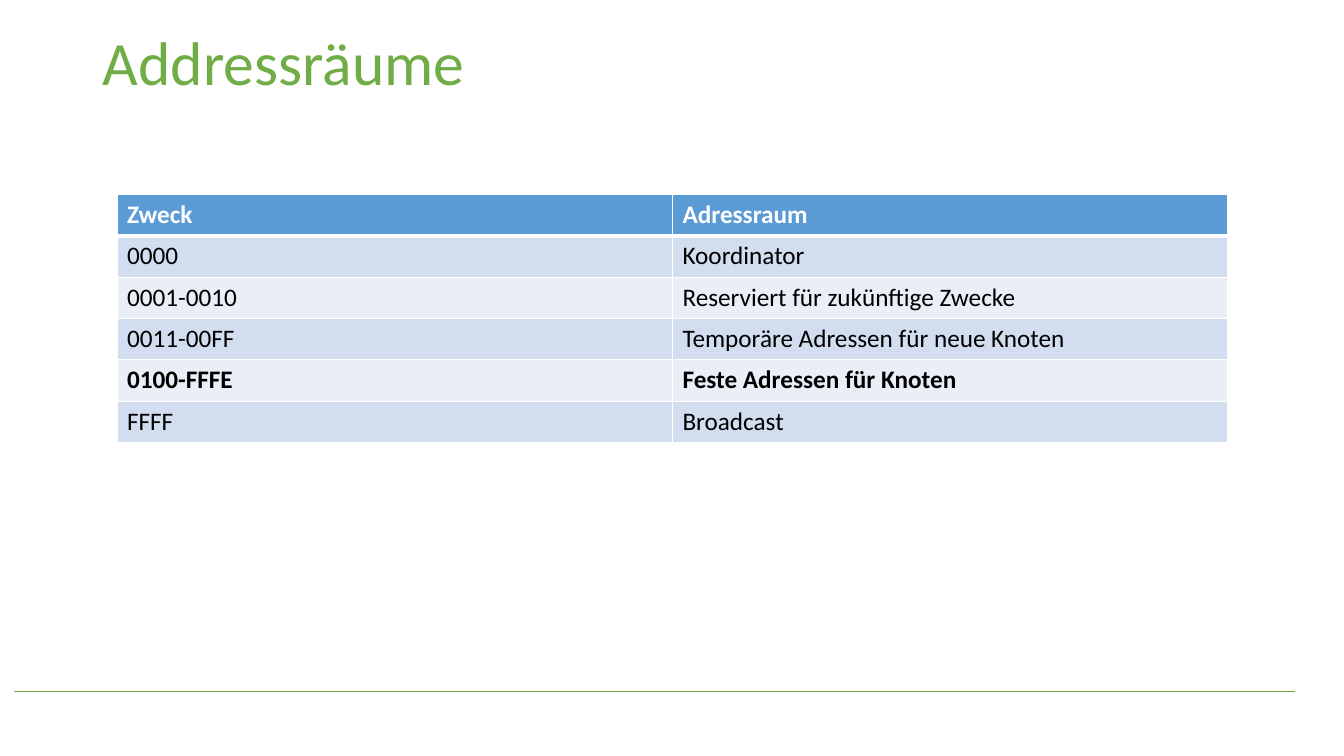
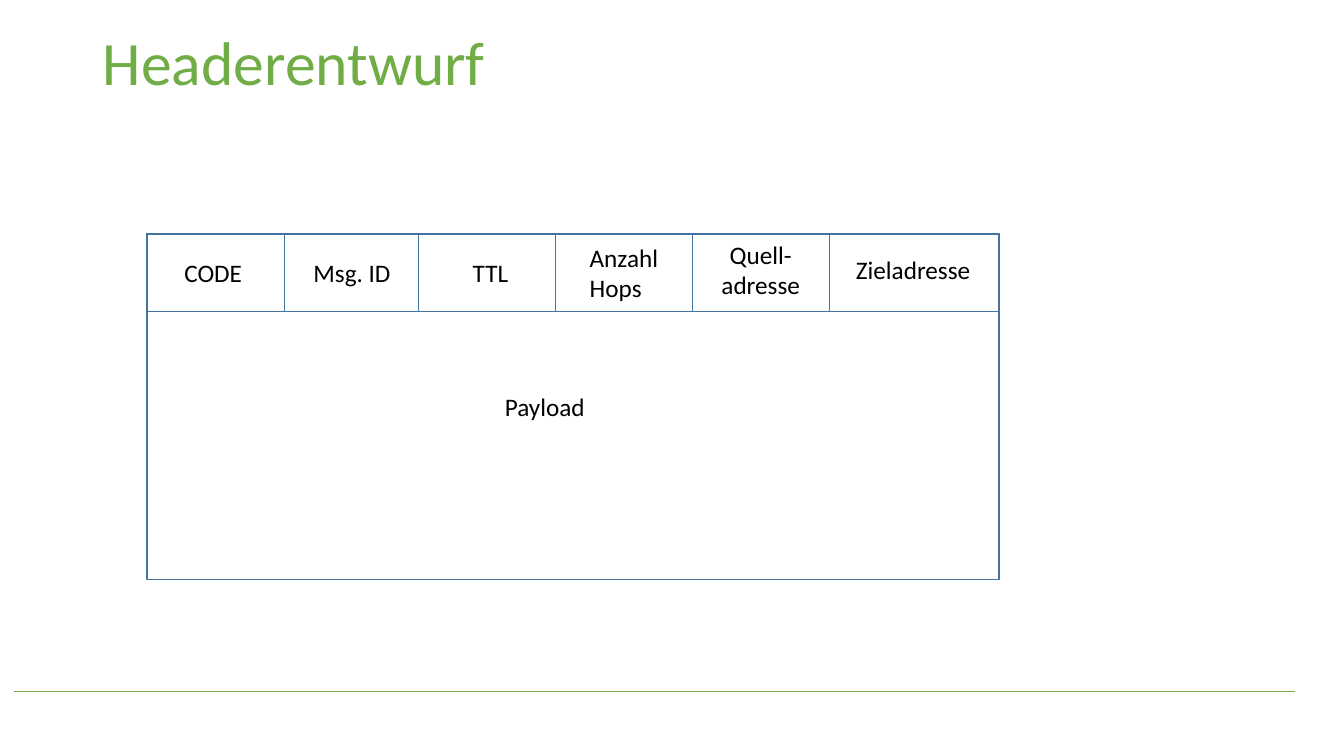
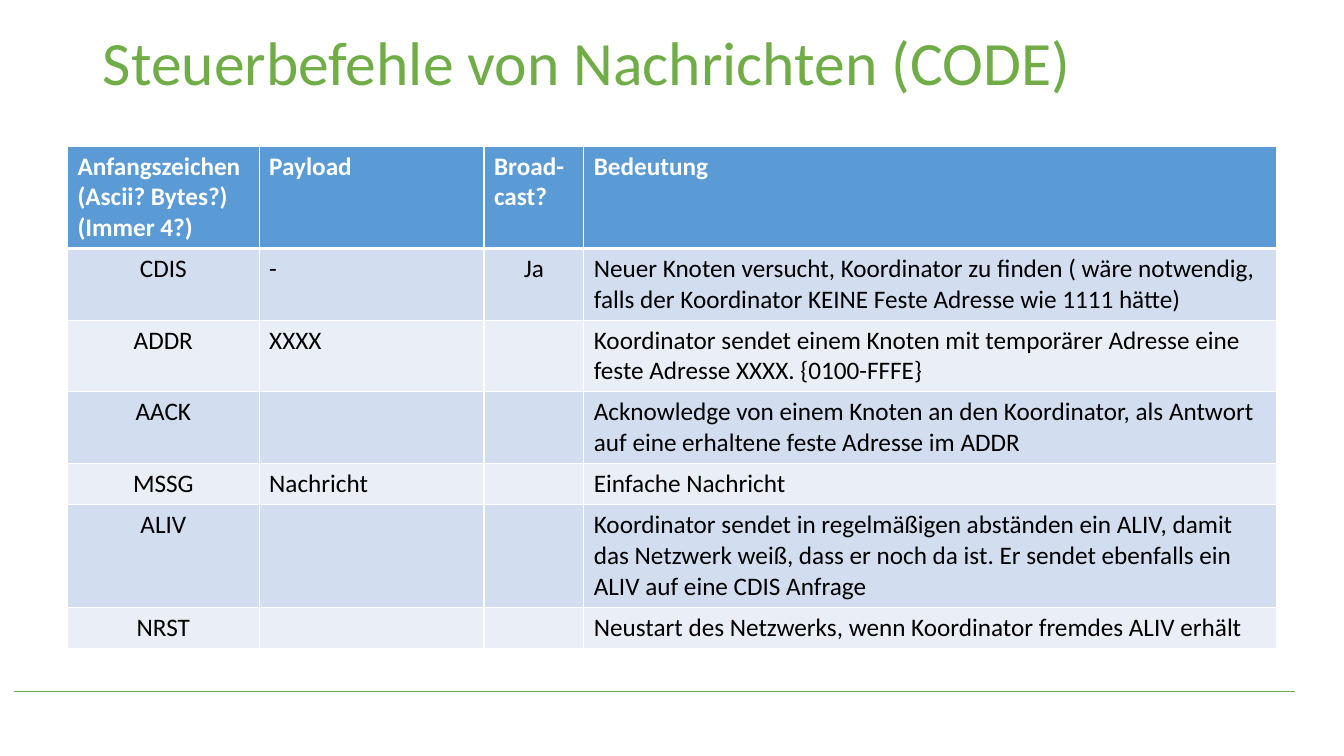
from lxml.etree import SubElement
from pptx import Presentation
from pptx.dml.color import RGBColor
from pptx.enum.shapes import MSO_CONNECTOR, MSO_SHAPE
from pptx.enum.text import MSO_ANCHOR, MSO_AUTO_SIZE, PP_ALIGN
from pptx.oxml import parse_xml
from pptx.oxml.ns import nsdecls, qn
from pptx.util import Inches, Pt

GREEN = RGBColor(0x70, 0xAD, 0x47)
BLUE = RGBColor(0x5B, 0x9B, 0xD5)
NAVY = RGBColor(0x43, 0x73, 0x9E)
BANDS = RGBColor(0xEA, 0xEF, 0xF7), RGBColor(0xD2, 0xDE, 0xEF)
BLACK = RGBColor(0, 0, 0)
WHITE = RGBColor(0xFF, 0xFF, 0xFF)
LEFT, MID = PP_ALIGN.LEFT, PP_ALIGN.CENTER
ROW = 0.41

# In all texts \n starts a paragraph and \v breaks a line.
SPACES = [
    ("Zweck", "Adressraum"),
    ("0000", "Koordinator"),
    ("0001-0010", "Reserviert für zukünftige Zwecke"),
    ("0011-00FF", "Temporäre Adressen für neue Knoten"),
    ("0100-FFFE", "Feste Adressen für Knoten"),
    ("FFFF", "Broadcast"),
]
FIXED = 4  # row of the fixed addresses, in bold

CODES = [
    ("Anfangszeichen (Ascii? Bytes?)\v(Immer 4?)", "Payload",
     "Broad-\vcast?", "Bedeutung"),
    ("CDIS", "-", "Ja",
     "Neuer Knoten versucht, Koordinator zu finden ( wäre notwendig, "
     "falls der Koordinator KEINE Feste Adresse wie 1111 hätte)"),
    ("ADDR", "XXXX", "",
     "Koordinator sendet einem Knoten mit temporärer Adresse eine "
     "feste Adresse XXXX. {0100-FFFE}"),
    ("AACK", "", "",
     "Acknowledge von einem Knoten an den Koordinator, als Antwort "
     "auf eine erhaltene feste Adresse im ADDR"),
    ("MSSG", "Nachricht", "", "Einfache Nachricht"),
    ("ALIV", "", "",
     "Koordinator sendet in regelmäßigen abständen ein ALIV, damit "
     "das Netzwerk weiß, dass er noch da ist. Er sendet ebenfalls ein "
     "ALIV auf eine CDIS Anfrage"),
    ("NRST", "", "",
     "Neustart des Netzwerks, wenn Koordinator fremdes ALIV erhält"),
]

# Field width, label, label box (left, top, width, height), alignment
FIELDS = [
    (1.36, "CODE", (1.73, 2.5, 0.78, 0.4), LEFT),
    (1.33, "Msg. ID", (3.01, 2.5, 0.98, 0.4), LEFT),
    (1.36, "TTL", (4.59, 2.5, 0.56, 0.4), LEFT),
    (1.36, "Anzahl\nHops", (5.75, 2.35, 0.89, 0.71), LEFT),
    (1.36, "Quell-\vadresse", (7.05, 2.32, 0.99, 0.71), MID),
    (1.68, "Zieladresse", (8.39, 2.47, 1.35, 0.4), LEFT),
]
PACKET = (1.46, 2.32, 8.45, 3.43)
HEAD = 0.77


def inches(box):
    return [Inches(n) for n in box]


def write(frame, text, size=18, color=BLACK, bold=False, align=LEFT,
          space=None):
    frame.text = text
    for para in frame.paragraphs:
        para.alignment = align
        para.line_spacing = space
        for run in para.runs:
            font = run.font
            font.name, font.size, font.bold = "Calibri", Pt(size), bold
            font.color.rgb = color


def prepare(deck):
    """Set the title place and the bottom rule on the shared layout."""
    layout = deck.slide_layouts[5]
    title = layout.placeholders[0]
    title.left, title.top, title.width, title.height = inches(
        (0.92, 0.27, 11.5, 1.45))
    return layout


def add_rule(slide, layout):
    """Draw the bottom rule and move it to the layout."""
    rule = slide.shapes.add_connector(
        MSO_CONNECTOR.STRAIGHT, *inches((0.14, 6.86, 12.84, 6.86)))
    rule.line.color.rgb = GREEN
    rule.line.width = Pt(0.5)
    SubElement(rule.element.spPr, qn("a:effectLst"))
    layout.shapes.element.append(rule.element)


def add_slide(deck, layout, text):
    slide = deck.slides.add_slide(layout)
    frame = slide.shapes.title.text_frame
    write(frame, text, size=44, color=GREEN, space=0.9)
    frame.vertical_anchor = MSO_ANCHOR.TOP
    return slide


def edge(cell, top, low):
    """Give the cell white borders; top and low are widths in points."""
    props = cell._tc.get_or_add_tcPr()
    sides = {"L": 1, "R": 1, "T": top, "B": low}
    for spot, (side, wide) in enumerate(sides.items()):
        props.insert(spot, parse_xml(
            f'<a:ln{side} {nsdecls("a")} w="{Pt(wide)}"><a:solidFill>'
            f'<a:srgbClr val="{WHITE}"/></a:solidFill></a:ln{side}>'))


def add_grid(slide, rows, left, top, widths, mids=(), strong=()):
    """Add a banded table; mids are centred columns, strong bold rows."""
    box = inches((left, top, sum(widths), ROW * len(rows)))
    table = slide.shapes.add_table(len(rows), len(widths), *box).table
    for col, wide in zip(table.columns, widths):
        col.width = Inches(wide)
    for r, row in enumerate(rows):
        table.rows[r].height = Inches(ROW)
        for c, text in enumerate(row):
            cell = table.cell(r, c)
            write(cell.text_frame, text, color=BLACK if r else WHITE,
                  bold=r == 0 or r in strong,
                  align=MID if r and c in mids else LEFT)
            cell.fill.solid()
            cell.fill.fore_color.rgb = BANDS[r % 2] if r else BLUE
            edge(cell, top=3 if r == 1 else 1, low=1 if r else 3)


def add_frame(slide, box):
    rect = slide.shapes.add_shape(MSO_SHAPE.RECTANGLE, *inches(box))
    rect.shadow.inherit = False
    rect.fill.background()
    rect.line.color.rgb = NAVY
    rect.line.width = Pt(1)


def add_label(slide, text, box, align=LEFT):
    frame = slide.shapes.add_textbox(*inches(box)).text_frame
    frame.word_wrap = False
    frame.auto_size = MSO_AUTO_SIZE.SHAPE_TO_FIT_TEXT
    write(frame, text, align=align)


def add_packet(slide):
    left, top, wide, _ = PACKET
    add_frame(slide, PACKET)
    add_frame(slide, (left, top, wide, HEAD))
    for size, *_ in FIELDS:
        add_frame(slide, (left, top, size, HEAD))
        left += size
    for _, text, box, align in FIELDS:
        add_label(slide, text, box, align)
    add_label(slide, "Payload", (4.91, 3.83, 1, 0.4))


def main():
    deck = Presentation()
    deck.slide_width, deck.slide_height = Inches(13.33), Inches(7.5)
    layout = prepare(deck)

    slide = add_slide(deck, layout, "Addressräume")
    add_rule(slide, layout)
    add_grid(slide, SPACES, 1.16, 1.93, (5.51, 5.51), strong=(FIXED,))

    add_packet(add_slide(deck, layout, "Headerentwurf"))

    slide = add_slide(deck, layout, "Steuerbefehle von Nachrichten (CODE)")
    add_grid(slide, CODES, 0.67, 1.45, (1.9, 2.23, 0.99, 6.87), mids=(0, 2))

    deck.save("out.pptx")


if __name__ == "__main__":
    main()
